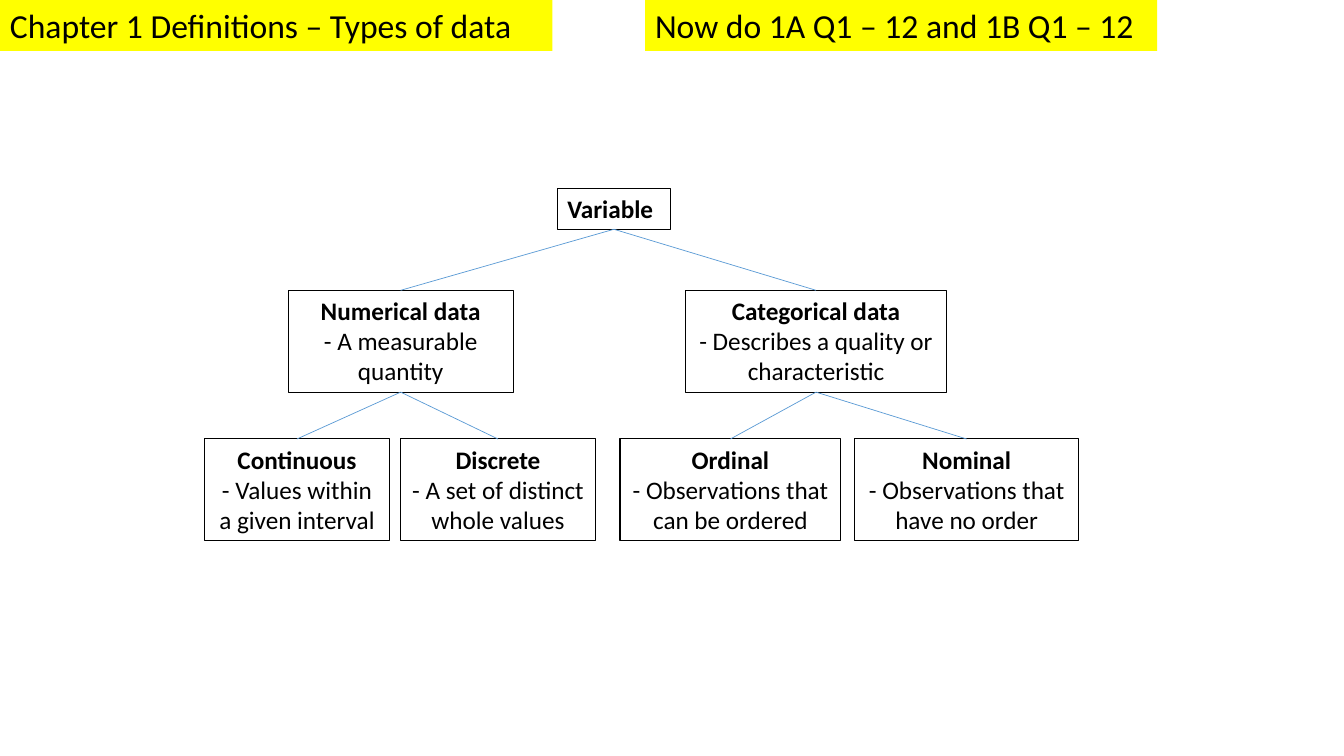
from dataclasses import dataclass

from lxml import etree
from pptx import Presentation
from pptx.dml.color import RGBColor
from pptx.enum.shapes import MSO_CONNECTOR
from pptx.enum.text import MSO_AUTO_SIZE, PP_ALIGN
from pptx.oxml.ns import qn
from pptx.util import Inches, Pt

LEFT, CENTER = PP_ALIGN.LEFT, PP_ALIGN.CENTER
GROW = MSO_AUTO_SIZE.SHAPE_TO_FIT_TEXT
STRAIGHT = MSO_CONNECTOR.STRAIGHT
TOP_SITE, BOTTOM_SITE = 0, 2

SLIDE_WIDTH, SLIDE_HEIGHT = Inches(13.33), Inches(7.5)
FONT = "Calibri"
BLACK, YELLOW, BLUE = "000000", "FFFF00", "5B9BD5"


@dataclass(frozen=True)
class Level:
    top: float
    height: float


@dataclass(frozen=True)
class Banner:
    text: str
    left: float
    width: float


@dataclass(frozen=True)
class Node:
    title: str
    level: Level
    left: float
    width: float
    description: str = ""
    children: tuple["Node", ...] = ()


HEADER = Level(0, 6.73)
ROOT = Level(24.93, 5.4)
KINDS = Level(38.4, 13.47)
SUBTYPES = Level(58.07, 13.47)

BANNERS = (
    Banner("Chapter 1 Definitions – Types of data", 0, 41.1),
    Banner("Now do 1A Q1 – 12 and 1B Q1 – 12", 48, 38.1),
)

NUMERICAL = Node("Numerical data", KINDS, 21.45, 16.73, "- A measurable quantity", (
    Node("Continuous", SUBTYPES, 15.23, 13.73, "- Values within a given interval"),
    Node("Discrete", SUBTYPES, 29.78, 14.55, "- A set of distinct whole values"),
))
CATEGORICAL = Node("Categorical data", KINDS, 51, 19.43, "- Describes a quality or characteristic", (
    Node("Ordinal", SUBTYPES, 46.13, 16.43, "- Observations that can be ordered"),
    Node("Nominal", SUBTYPES, 63.6, 16.65, "- Observations that have no order"),
))
VARIABLE = Node("Variable", ROOT, 41.48, 8.4, children=(NUMERICAL, CATEGORICAL))


def color(value: str) -> RGBColor:
    return RGBColor.from_string(value)


def across(percent: float) -> int:
    return round(SLIDE_WIDTH * percent / 100)


def down(percent: float) -> int:
    return round(SLIDE_HEIGHT * percent / 100)


def add_box(slide, left: float, width: float, level: Level):
    shape = slide.shapes.add_textbox(
        across(left), down(level.top), across(width), down(level.height))
    shape.text_frame.word_wrap = True
    shape.text_frame.auto_size = GROW
    return shape


def write(paragraph, text: str, *, size: int = 18, bold: bool = False, align=LEFT) -> None:
    paragraph.alignment = align
    run = paragraph.add_run()
    run.text = text
    run.font.name = FONT
    run.font.size = Pt(size)
    run.font.bold = bold
    run.font.color.rgb = color(BLACK)


def draw_banner(slide, banner: Banner) -> None:
    shape = add_box(slide, banner.left, banner.width, HEADER)
    shape.fill.solid()
    shape.fill.fore_color.rgb = color(YELLOW)
    write(shape.text_frame.paragraphs[0], banner.text, size=24)


def draw_node(slide, node: Node):
    shape = add_box(slide, node.left, node.width, node.level)
    shape.line.color.rgb = color(BLACK)
    shape.line.width = Pt(0.75)
    frame = shape.text_frame
    align = CENTER if node.description else LEFT
    write(frame.paragraphs[0], node.title, bold=True, align=align)
    if node.description:
        write(frame.add_paragraph(), node.description, align=align)
    return shape


def draw_branch(slide, parent, child) -> None:
    connector = slide.shapes.add_connector(STRAIGHT, 0, 0, 0, 0)
    connector.begin_connect(parent, BOTTOM_SITE)
    connector.end_connect(child, TOP_SITE)
    connector.line.color.rgb = color(BLUE)
    connector.line.width = Pt(0.5)
    etree.SubElement(connector.element.spPr, qn("a:effectLst"))


def draw_tree(slide, node: Node):
    parent = draw_node(slide, node)
    for child in node.children:
        draw_branch(slide, parent, draw_tree(slide, child))
    return parent


def main() -> None:
    presentation = Presentation()
    presentation.slide_width = SLIDE_WIDTH
    presentation.slide_height = SLIDE_HEIGHT
    slide = presentation.slides.add_slide(presentation.slide_layouts[6])
    draw_tree(slide, VARIABLE)
    for banner in BANNERS:
        draw_banner(slide, banner)
    presentation.save("out.pptx")


if __name__ == "__main__":
    main()
